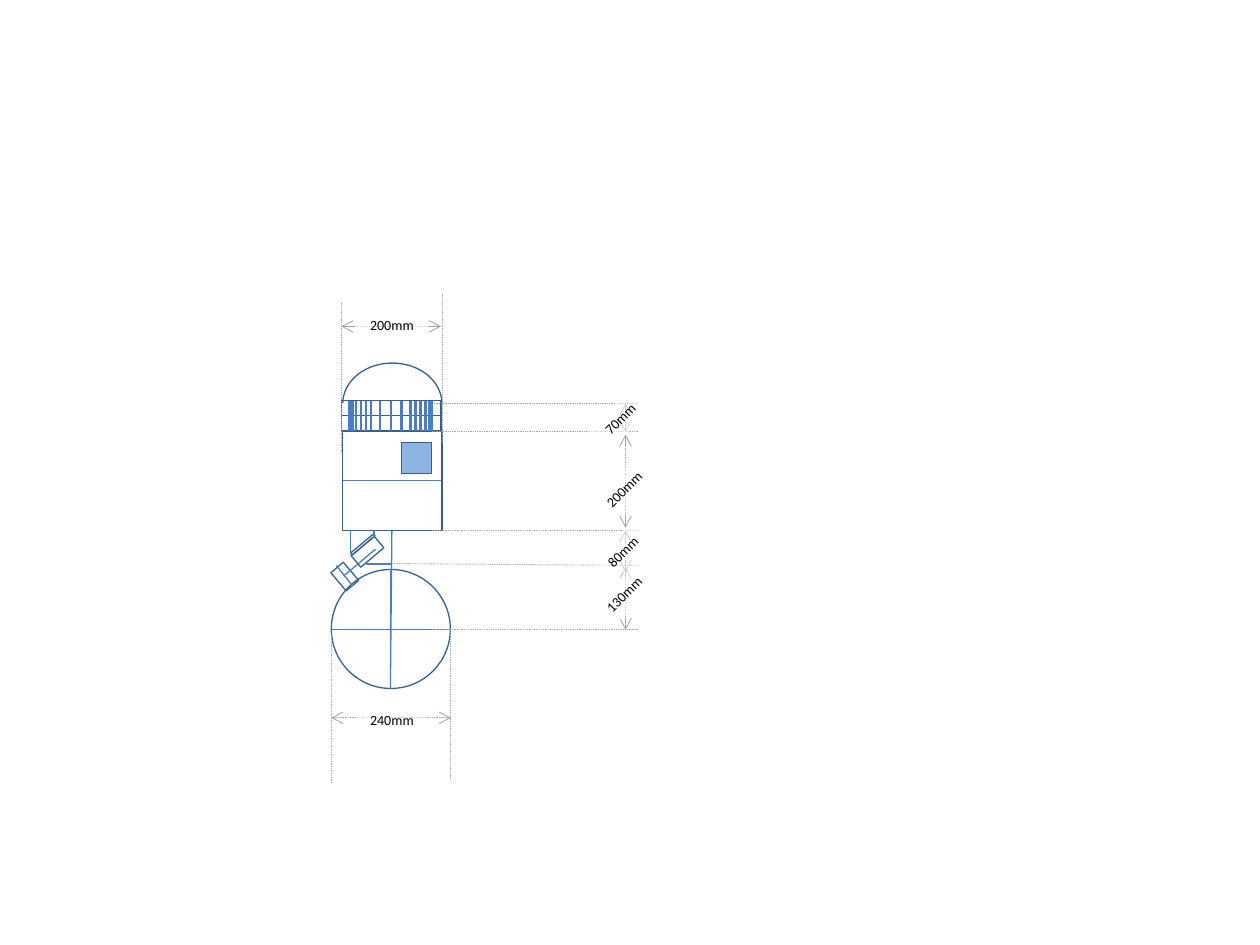
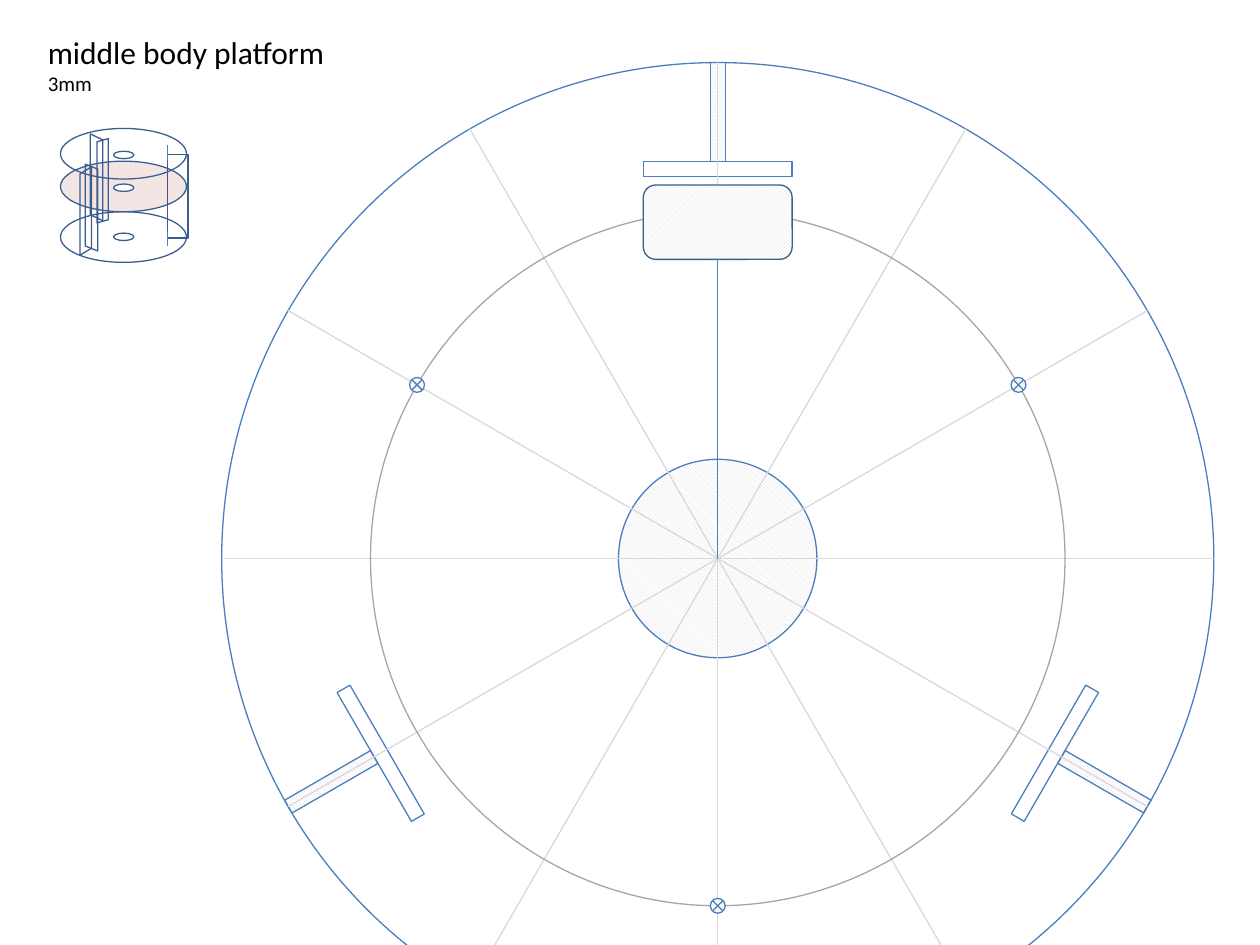
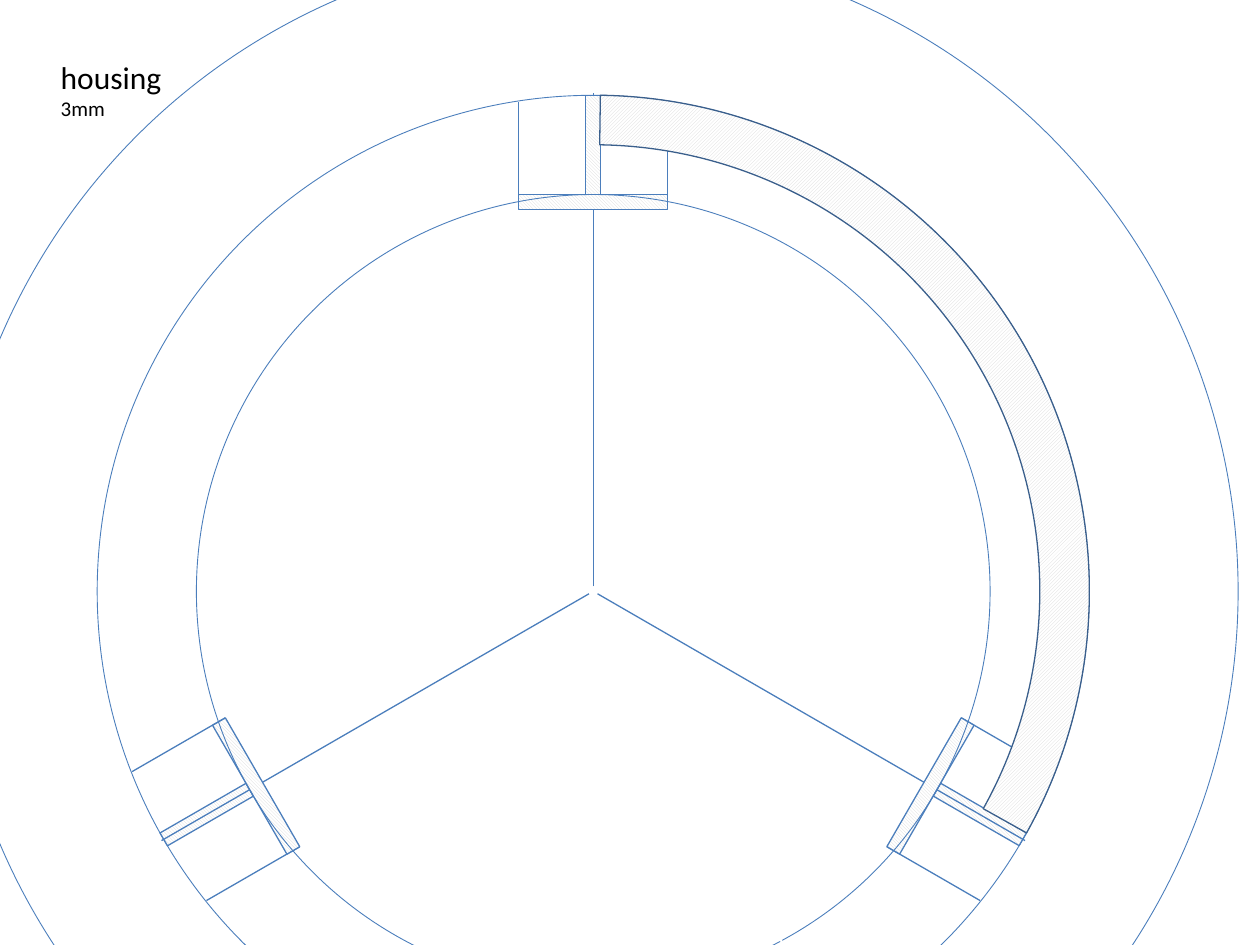
from math import cos, radians, sin

from lxml import etree
from pptx import Presentation
from pptx.dml.color import RGBColor
from pptx.enum.dml import MSO_LINE, MSO_PATTERN
from pptx.enum.shapes import MSO_CONNECTOR, MSO_SHAPE
from pptx.enum.text import MSO_ANCHOR, MSO_AUTO_SIZE, PP_ALIGN
from pptx.oxml.ns import qn
from pptx.util import Cm, Pt

RECT = MSO_SHAPE.RECTANGLE
ROUND_RECT = MSO_SHAPE.ROUNDED_RECTANGLE
ELLIPSE = MSO_SHAPE.OVAL
ARC = MSO_SHAPE.ARC
BLOCK_ARC = MSO_SHAPE.BLOCK_ARC
TRAPEZOID = MSO_SHAPE.TRAPEZOID
PARALLELOGRAM = MSO_SHAPE.PARALLELOGRAM
JUNCTION = MSO_SHAPE.FLOWCHART_SUMMING_JUNCTION
STRAIGHT = MSO_CONNECTOR.STRAIGHT
DOTTED = MSO_LINE.ROUND_DOT
HATCH_DOWN = MSO_PATTERN.LIGHT_DOWNWARD_DIAGONAL
HATCH_UP = MSO_PATTERN.LIGHT_UPWARD_DIAGONAL
LEFT, TOP = PP_ALIGN.LEFT, MSO_ANCHOR.TOP
FIXED = MSO_AUTO_SIZE.NONE

FONT = "Calibri"
BLACK, WHITE = "000000", "FFFFFF"
BLUE, NAVY, DEEP = "4B7EBC", "3A5F8C", "376092"
GREY, PALE = "A6A6A6", "D9D9D9"
SCREEN, HIGHLIGHT = "8EB4E3", "990000"

FULL_TURN = (91.14, 90.94)   # an arc that almost closes
ARMS = (270, 150, 30)        # directions of the three mounts, in degrees
SLOT_RADIUS, PLATE_RADIUS = 9, 7.85


def rgb(color):
    return RGBColor.from_string(color)


def polar(center, radius, angle, side=0):
    """Point at a radius along an angle, shifted sideways."""
    c, s = cos(radians(angle)), sin(radians(angle))
    return center[0] + radius * c - side * s, center[1] + radius * s + side * c


class Drawing:
    """Holds the shared style and the slide being drawn; lengths are in cm."""

    def __init__(self):
        self.prs = Presentation()
        self.prs.slide_width, self.prs.slide_height = Cm(25.4), Cm(19.05)
        self.slide = None

    def new_slide(self, title=None, note=None, x=0, y=0, width=0):
        layout = self.prs.slide_layouts[5 if title else 6]
        self.slide = self.prs.slides.add_slide(layout)
        if title:
            heading = self.slide.shapes.title
            heading.left, heading.top = Cm(x), Cm(y)
            heading.width, heading.height = Cm(width), Cm(1.55)
            self.set_text(heading.text_frame, ((title, 18), (note, 12)), True)

    def set_text(self, frame, lines, wrap):
        frame.word_wrap, frame.auto_size = wrap, FIXED
        frame.vertical_anchor = TOP
        for i, (text, size) in enumerate(lines):
            paragraph = frame.add_paragraph() if i else frame.paragraphs[0]
            paragraph.alignment = LEFT
            run = paragraph.add_run()
            run.text = text
            run.font.name, run.font.size = FONT, Pt(size)
            run.font.color.rgb = rgb(BLACK)

    def paint(self, shape, color, opacity=100):
        shape.fill.solid()
        shape.fill.fore_color.rgb = rgb(color)
        if opacity < 100:
            tint = shape._element.spPr.find(qn("a:solidFill")).find(qn("a:srgbClr"))
            etree.SubElement(tint, qn("a:alpha")).set("val", str(opacity * 1000))

    def shape(self, kind, x, y, w, h, line=NAVY, fill=None, opacity=100,
              hatch=None, rotation=0, adjust=(), flip=False, weight=0.75):
        shape = self.slide.shapes.add_shape(kind, Cm(x), Cm(y), Cm(w), Cm(h))
        shape.shadow.inherit = False
        shape.rotation = rotation
        for i, value in enumerate(adjust):
            shape.adjustments[i] = value
        if hatch:
            shape.fill.patterned()
            shape.fill.pattern = hatch
            shape.fill.fore_color.rgb = rgb(PALE)
            shape.fill.back_color.rgb = rgb(WHITE)
        elif fill:
            self.paint(shape, fill, opacity)
        else:
            shape.fill.background()
        shape.line.color.rgb = rgb(line)
        shape.line.width = Pt(weight)
        if flip:
            shape._element.spPr.find(qn("a:xfrm")).set("flipV", "1")

    def centered(self, kind, center, w, h, **style):
        self.shape(kind, center[0] - w / 2, center[1] - h / 2, w, h, **style)

    def circle(self, center, diameter, **style):
        self.centered(ARC, center, diameter, diameter, line=BLUE,
                      adjust=FULL_TURN, **style)

    def line(self, start, end, color=BLUE, weight=0.75, dash=None, arrows=False):
        line = self.slide.shapes.add_connector(
            STRAIGHT, Cm(start[0]), Cm(start[1]), Cm(end[0]), Cm(end[1]))
        line.line.color.rgb = rgb(color)
        line.line.width = Pt(weight)
        if dash:
            line.line.dash_style = dash
        properties = line._element.spPr
        if arrows:
            outline = properties.find(qn("a:ln"))
            for tip in ("a:headEnd", "a:tailEnd"):
                etree.SubElement(outline, qn(tip)).set("type", "arrow")
        etree.SubElement(properties, qn("a:effectLst"))

    def measure(self, start, end, arrows=False):
        self.line(start, end, GREY, 0.5, DOTTED, arrows)

    def label(self, text, x, y, rotation=0, width=1.4):
        box = self.slide.shapes.add_textbox(Cm(x), Cm(y), Cm(width), Cm(0.61))
        box.rotation = rotation
        self.paint(box, WHITE, 50)
        self.set_text(box.text_frame, ((text, 8),), False)

    def slot(self, center, angle):
        self.centered(RECT, polar(center, SLOT_RADIUS, angle), 2, 0.3,
                      line=BLUE, hatch=HATCH_DOWN, rotation=angle)

    def plate(self, center, angle, hatch=None):
        self.centered(RECT, polar(center, PLATE_RADIUS, angle), 0.3, 3,
                      line=BLUE, hatch=hatch, rotation=angle)


def robot_side_view(d):
    d.new_slide()
    # Dome, its lower half masked
    d.shape(ELLIPSE, 6.91, 7.32, 2, 1.63)
    d.shape(RECT, 6.68, 8.13, 2.51, 1.12, line=WHITE, fill=WHITE)

    # Base ball with its roller arm
    d.shape(ELLIPSE, 6.68, 11.48, 2.4, 2.4, line=DEEP)
    d.shape(RECT, 6.71, 11.46, 0.48, 0.33, line=DEEP, rotation=50)
    for start, end in (((7.87, 11.48), (7.87, 13.89)),
                       ((6.68, 12.69), (9.07, 12.69)),
                       ((7.87, 13.89), (7.9, 10.69)),
                       ((7.57, 11.07), (6.93, 11.61))):
        d.line(start, end)
    d.shape(RECT, 7.26, 10.82, 0.3, 0.61, line=DEEP, rotation=50)
    d.shape(RECT, 7.29, 10.67, 0.05, 0.61, line=DEEP, rotation=50)
    d.line((7.09, 11.79), (6.78, 11.4))

    # Neck rings and body
    for x, y, height in ((6.89, 8.38, 0.3), (6.89, 8.08, 0.3), (6.91, 8.69, 2)):
        d.shape(TRAPEZOID, x, y, 2, height, adjust=(0,))

    # Extension lines
    for y in (10.69, 12.69, 8.69, 8.13):
        d.measure((8.71, y), (12.88, y))
    d.measure((7.9, 11.36), (12.88, 11.4))
    for x, top, bottom in ((9.08, 12.7, 15.7), (6.68, 12.78, 15.77),
                           (8.91, 5.92, 8.94), (6.88, 6.1, 9.09)):
        d.measure((x, top), (x, bottom))

    # Dimension arrows and values
    for top, bottom in ((8.13, 8.71), (8.76, 10.64), (10.69, 11.53), (11.43, 12.7)):
        d.measure((12.61, top), (12.61, bottom), arrows=True)
    for left, right, y in ((6.68, 9.09, 14.47), (6.88, 8.89, 6.58)):
        d.measure((left, y), (right, y), arrows=True)
    d.label("200mm", 7.21, 6.25)
    d.label("240mm", 7.21, 14.22)
    d.label("200mm", 11.89, 9.55, 315)
    d.label("70mm", 11.86, 8.08, 315)
    d.label("80mm", 11.94, 10.82, 315, 1.24)
    d.label("130mm", 11.89, 11.68, 315)

    # Roller mount
    d.line((7.54, 10.69), (7.54, 10.85))
    d.line((7.06, 10.69), (7.06, 11.15))
    d.line((7.37, 11.37), (7.9, 11.37))

    # Neck ribs, mirrored about the axis
    axis = 7.88
    ribs = (0.22, 0.4, 0.5, 0.6, 0.7, 0.78, 0.83)
    for offset in (0, *ribs, *(-rib for rib in ribs)):
        d.line((axis + offset, 8.08), (axis + offset, 8.69), weight=1.5)

    # Screen and body seam
    d.shape(RECT, 8.1, 8.92, 0.6, 0.63, fill=SCREEN)
    d.line((6.91, 9.69), (8.9, 9.69))


def platform_stack(d):
    """Small view of the three stacked platforms."""
    d.shape(RECT, 3.38, 3.12, 0.41, 1.68)
    d.shape(ELLIPSE, 1.22, 3.25, 2.54, 1.02, fill=HIGHLIGHT, opacity=10)
    d.shape(ELLIPSE, 1.22, 4.27, 2.54, 1.02)
    d.shape(ELLIPSE, 2.29, 4.7, 0.41, 0.15, fill=WHITE)
    for x, y, length, depth, slant, flip in (
            (1.07, 3.45, 1.75, 0.25, 0.48, False),
            (0.84, 4.14, 1.78, 0.23, 0.61, True),
            (0.97, 4.06, 1.75, 0.25, 0.4, False),
            (1.22, 3.53, 1.7, 0.23, 0.28, True)):
        d.shape(PARALLELOGRAM, x, y, length, depth, rotation=90,
                adjust=(slant,), flip=flip)
    d.shape(ELLIPSE, 2.29, 3.71, 0.41, 0.15, fill=WHITE)
    d.shape(ELLIPSE, 1.22, 2.59, 2.54, 1.02)
    d.shape(ELLIPSE, 2.29, 3.05, 0.41, 0.15)
    for top, bottom in ((2.92, 3.23), (4.65, 4.95)):
        d.line((3.38, top), (3.38, bottom))


def middle_platform(d):
    d.new_slide("middle body platform", "3mm", 0.71, 0.53, 6.2)
    center = (14.47, 11.26)

    # Hub and mounts
    d.circle(center, 4, hatch=HATCH_DOWN)
    for angle in ARMS:
        d.slot(center, angle)
        d.plate(center, angle)

    platform_stack(d)

    # Rim and diameters
    d.circle(center, 20, rotation=270)
    for angle in range(0, 180, 30):
        d.line(polar(center, -10, angle), polar(center, 10, angle), PALE)

    # Bolt ring
    bolt_radius = 7
    d.centered(ELLIPSE, center, 2 * bolt_radius, 2 * bolt_radius, line=GREY)
    for angle in (90, 330, 210):
        d.centered(JUNCTION, polar(center, bolt_radius, angle), 0.3, 0.3,
                   line=BLUE, hatch=HATCH_DOWN)

    # Cable opening
    d.centered(ROUND_RECT, polar(center, 6.78, 270), 3, 1.5, hatch=HATCH_UP)
    d.line(polar(center, 6.03, 270), center)


def housing(d):
    d.new_slide("housing", "3mm", 0.97, 1.04, 10.13)
    center = (11.96, 11.92)
    upright, *slanted = ARMS

    def spoke(angle):
        d.line(polar(center, 0.1, angle), polar(center, 10.05, angle))

    # Wall, spokes and mounts
    d.circle(center, 20, rotation=270, weight=0.5)
    spoke(upright)
    for angle in ARMS:
        d.slot(center, angle)
        for side in (-1.5, 1.5):
            d.line(polar(center, 7.7, angle, side), polar(center, 9.87, angle, side))
    for angle in slanted:
        spoke(angle)
    for angle in ARMS:
        d.plate(center, angle, HATCH_DOWN)

    # Inner wall, cover segment and outer limit
    d.circle(center, 16, rotation=270, weight=0.5)
    d.centered(BLOCK_ARC, center, 20, 20, hatch=HATCH_UP, rotation=90,
               adjust=(108.49, 179.49, 0.05))
    d.circle(center, 26, rotation=270, weight=0.5)


def main():
    d = Drawing()
    robot_side_view(d)
    middle_platform(d)
    housing(d)
    d.prs.save("out.pptx")


if __name__ == "__main__":
    main()
